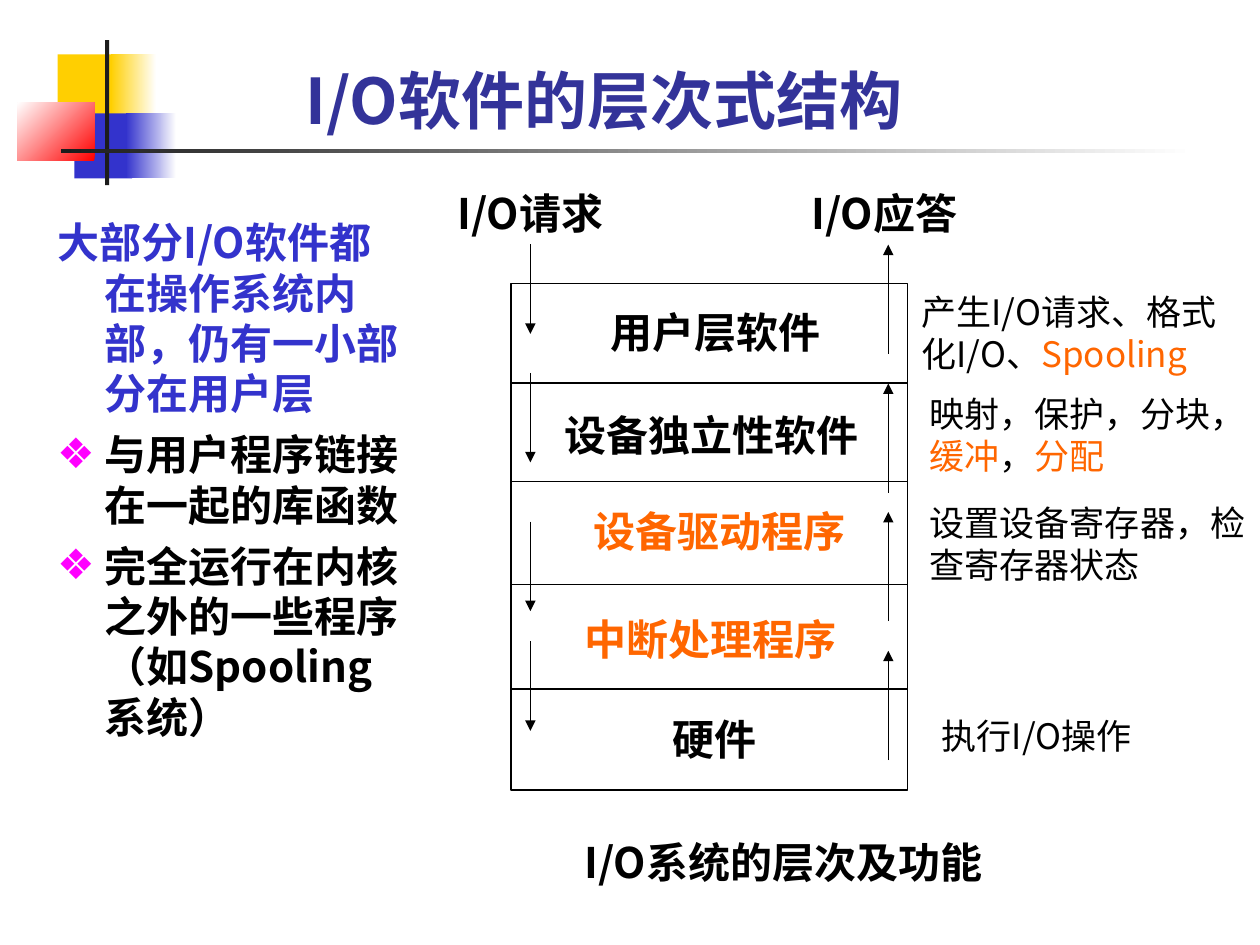
from lxml import etree
from pptx import Presentation
from pptx.dml.color import RGBColor
from pptx.enum.shapes import MSO_CONNECTOR, MSO_SHAPE
from pptx.enum.text import MSO_ANCHOR, MSO_AUTO_SIZE, PP_ALIGN
from pptx.oxml.ns import qn
from pptx.util import Pt

RECTANGLE, STRAIGHT = MSO_SHAPE.RECTANGLE, MSO_CONNECTOR.STRAIGHT
LEFT, BOTTOM, TOP = PP_ALIGN.LEFT, MSO_ANCHOR.BOTTOM, MSO_ANCHOR.TOP
FIXED, FIT_SHAPE = MSO_AUTO_SIZE.NONE, MSO_AUTO_SIZE.SHAPE_TO_FIT_TEXT

BLACK = RGBColor(0x00, 0x00, 0x00)
WHITE = RGBColor(0xFF, 0xFF, 0xFF)
CHARCOAL = RGBColor(0x1C, 0x1C, 0x1C)
YELLOW = RGBColor(0xFF, 0xCF, 0x01)
BLUE = RGBColor(0x33, 0x33, 0xCC)
NAVY = RGBColor(0x33, 0x33, 0x99)
RED = RGBColor(0xFF, 0x00, 0x00)
ORANGE = RGBColor(0xFF, 0x66, 0x00)
MAGENTA = RGBColor(0xFF, 0x00, 0xFF)

CJK, LATIN = "Noto Sans CJK SC", "Roboto"
TITLE = {"size": Pt(36), "bold": True, "name": CJK}
STRONG = {"size": Pt(24), "bold": True, "name": CJK}
LAYER = {"size": Pt(24), "bold": True, "name": LATIN}
NOTE = {"size": Pt(20), "bold": False, "name": CJK}

# left, top, width, height, colours, angle
ORNAMENTS = [
    (33, 31, 34.5, 37.5, [YELLOW], 0),
    (63.3, 31, 26, 37.5, [WHITE, YELLOW], 180),
    (42.5, 64.8, 33, 37.2, [BLUE], 0),
    (72, 64.8, 28.8, 37.2, [WHITE, BLUE], 180),
    (10, 58.7, 44, 33.3, [RED, WHITE], 135),
    (60, 23, 2.4, 82.8, [CHARCOAL], 0),
    (34.7, 85.2, 648, 2.2, [WHITE, CHARCOAL], 180),
]
STACK_LEFT, STACK_TOP, STACK_WIDTH, STACK_HEIGHT = 292, 162, 226.8, 289.4
DIVIDERS = [218.9, 275, 334.1, 393.8]
REQUEST_X, REQUEST_LENGTH, REQUEST_STARTS = 303.1, 51.1, [139.7, 213.1, 298.1, 366.5]
REPLY_X, REPLY_LENGTH, REPLY_STARTS = 507.6, 62.4, [434.3, 355, 281.5, 202.2]

# left, top, width, format, lines of (text, colour)
LABELS = [
    (342, 171.4, 136, LAYER, [[("用户层软件", BLACK)]]),
    (315.4, 230.4, 184, LAYER, [[("设备独立性软件", BLACK)]]),
    (331.9, 285.1, 160, LAYER, [[("设备驱动程序", ORANGE)]]),
    (326.9, 347, 160, LAYER, [[("中断处理程序", ORANGE)]]),
    (377.3, 403.9, 64, LAYER, [[("硬件", BLACK)]]),
    (254.2, 103.7, 108, STRONG, [[("I/O请求", BLACK)]]),
    (456.5, 103.7, 108, STRONG, [[("I/O应答", BLACK)]]),
    (531.1, 404.6, 136, NOTE, [[("执行I/O操作", BLACK)]]),
    (519.5, 162.3, 196, NOTE,
     [[("产生I/O请求、格式", BLACK)], [("化I/O、", BLACK), ("Spooling", ORANGE)]]),
    (524.2, 220.6, 196, NOTE,
     [[("映射，保护，分块，", BLACK)],
      [("缓冲", ORANGE), ("，", BLACK), ("分配", ORANGE)]]),
    (524.2, 283, 196, NOTE,
     [[("设置设备寄存器，检", BLACK)], [("查寄存器状态", BLACK)]]),
    (326.9, 474.5, 252, STRONG, [[("I/O系统的层次及功能", BLACK)]]),
]
# text, colour, bulleted
POINTS = [
    ("大部分I/O软件都在操作系统内部，仍有一小部分在用户层", BLUE, False),
    ("与用户程序链接在一起的库函数", BLACK, True),
    ("完全运行在内核之外的一些程序（如Spooling系统）", BLACK, True),
]


def add_run(paragraph, text, colour, formats):
    """Append formatted text to a paragraph."""
    run = paragraph.add_run()
    run.text = text
    for name, value in formats.items():
        setattr(run.font, name, value)
    run.font.color.rgb = colour
    properties = run._r.get_or_add_rPr()
    etree.SubElement(properties, qn("a:ea"), typeface=CJK)


def next_paragraph(frame, index):
    """Return the first paragraph of a frame or a new one after it."""
    return frame.add_paragraph() if index else frame.paragraphs[0]


def place(holder, left, top, width, height):
    """Move and size a placeholder."""
    box = {"left": left, "top": top, "width": width, "height": height}
    for name, value in box.items():
        setattr(holder, name, Pt(value))


def add_ornament(slide, left, top, width, height, colours, angle):
    """Draw a borderless block with a plain or gradient fill."""
    block = slide.shapes.add_shape(RECTANGLE, Pt(left), Pt(top), Pt(width), Pt(height))
    block.shadow.inherit = False
    block.line.fill.background()
    if len(colours) == 1:
        block.fill.solid()
        block.fill.fore_color.rgb = colours[0]
        return
    block.fill.gradient()
    block.fill.gradient_angle = angle
    for stop, colour in zip(block.fill.gradient_stops, colours):
        stop.color.rgb = colour


def add_line(slide, start, end, arrow=False):
    """Draw a thin black line, with an arrowhead at its end if asked."""
    line = slide.shapes.add_connector(STRAIGHT, *map(Pt, start + end))
    line.line.width = Pt(0.75)
    line.line.color.rgb = BLACK
    properties = line._element.spPr
    if arrow:
        etree.SubElement(properties.find(qn("a:ln")), qn("a:tailEnd"), type="triangle")
    etree.SubElement(properties, qn("a:effectLst"))


def add_label(slide, left, top, width, formats, lines):
    """Write a text box that does not wrap."""
    height = len(lines) * formats["size"].pt * 1.2 + 7.2
    label = slide.shapes.add_textbox(Pt(left), Pt(top), Pt(width), Pt(height))
    frame = label.text_frame
    frame.word_wrap = False
    frame.auto_size = FIT_SHAPE
    for index, line in enumerate(lines):
        paragraph = next_paragraph(frame, index)
        for text, colour in line:
            add_run(paragraph, text, colour, formats)


def fill_title(title):
    """Place and write the title."""
    place(title, 167.3, 25.9, 364.3, 56.2)
    frame = title.text_frame
    frame.auto_size = FIXED
    frame.word_wrap = False
    frame.vertical_anchor = BOTTOM
    frame.paragraphs[0].alignment = LEFT
    add_run(frame.paragraphs[0], "I/O软件的层次式结构", NAVY, TITLE)


def fill_body(body):
    """Place and write the list with hanging indents."""
    place(body, 25.5, 120.2, 215.3, 382.3)
    frame = body.text_frame
    frame.auto_size = FIXED
    frame.vertical_anchor = TOP
    for index, (text, colour, bulleted) in enumerate(POINTS):
        paragraph = next_paragraph(frame, index)
        paragraph.space_before = Pt(6 if index else 0)
        properties = paragraph._p.get_or_add_pPr()
        layout = {"marL": Pt(27), "indent": Pt(-27), "hangingPunct": 0}
        for name, value in layout.items():
            properties.set(name, str(value))
        if bulleted:
            bullet_colour = etree.SubElement(properties, qn("a:buClr"))
            etree.SubElement(bullet_colour, qn("a:srgbClr"), val=str(MAGENTA))
            etree.SubElement(properties, qn("a:buChar"), char="❖")
        else:
            etree.SubElement(properties, qn("a:buNone"))
        add_run(paragraph, text, colour, STRONG)


def add_stack(slide):
    """Draw the frame of the layers and its dividers."""
    stack = slide.shapes.add_shape(
        RECTANGLE, Pt(STACK_LEFT), Pt(STACK_TOP), Pt(STACK_WIDTH), Pt(STACK_HEIGHT))
    stack.shadow.inherit = False
    stack.fill.background()
    stack.line.color.rgb = BLACK
    stack.line.width = Pt(0.75)
    for y in DIVIDERS:
        add_line(slide, (STACK_LEFT, y), (STACK_LEFT + STACK_WIDTH, y))


def main():
    """Build and save the slide."""
    deck = Presentation()
    deck.slide_width, deck.slide_height = Pt(720), Pt(540)
    slide = deck.slides.add_slide(deck.slide_layouts[1])
    for ornament in ORNAMENTS:
        add_ornament(slide, *ornament)
    fill_title(slide.shapes.title)
    fill_body(slide.placeholders[1])
    add_stack(slide)
    for y in REQUEST_STARTS:
        add_line(slide, (REQUEST_X, y), (REQUEST_X, y + REQUEST_LENGTH), arrow=True)
    for y in REPLY_STARTS:
        add_line(slide, (REPLY_X, y), (REPLY_X, y - REPLY_LENGTH), arrow=True)
    for label in LABELS:
        add_label(slide, *label)
    deck.save("out.pptx")


if __name__ == "__main__":
    main()
